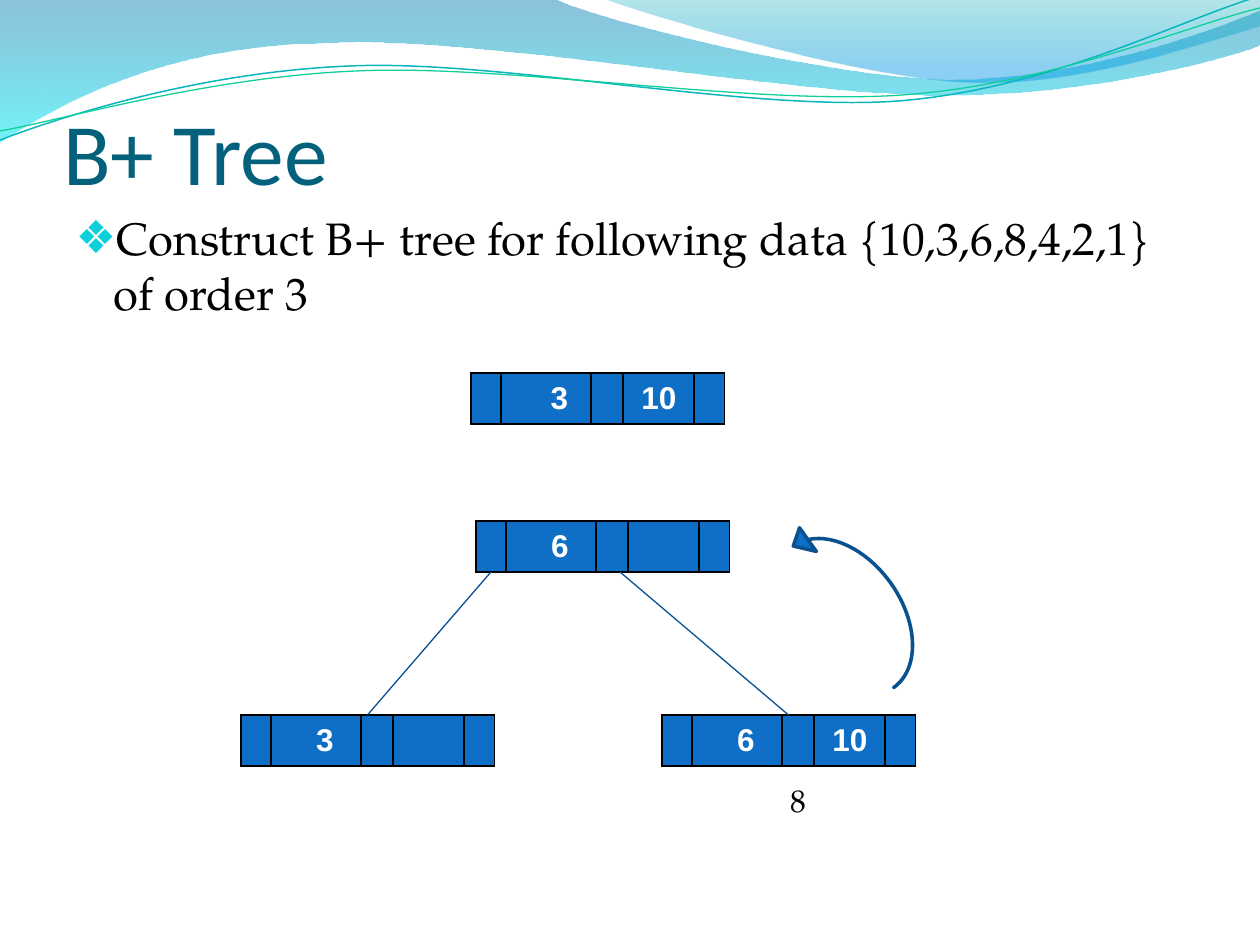
from typing import NamedTuple

from lxml import etree
from pptx import Presentation
from pptx import util as u
from pptx.dml.color import RGBColor
from pptx.enum import shapes, text
from pptx.oxml.ns import qn

PX = u.Inches(1) / 126

BLACK = RGBColor(0x00, 0x00, 0x00)
WHITE = RGBColor(0xFF, 0xFF, 0xFF)
BLUE = RGBColor(0x0F, 0x6F, 0xC6)
EDGE_BLUE = RGBColor(0x07, 0x51, 0x92)
ARROW_BLUE = RGBColor(0x0A, 0x51, 0x90)
TITLE_TEAL = RGBColor(0x04, 0x61, 0x7B)
BULLET_CYAN = RGBColor(0x0B, 0xD0, 0xD9)
WAVE_TEAL = RGBColor(0x09, 0xB6, 0xBE)
WAVE_GREEN = RGBColor(0x10, 0xCF, 0x9B)
DEEP_BLUE = RGBColor(0x00, 0x79, 0xAD)
AQUA = RGBColor(0x00, 0xE9, 0xF7)
SEA_GREEN = RGBColor(0x00, 0xAB, 0xB4)
SKY_BLUE = RGBColor(0x00, 0x99, 0xE4)

SERIF = "TeX Gyre Pagella"
COLUMN_WIDTHS = (30, 90, 32, 71, 30)
ROW_HEIGHT = 51
CELL_INSET = 13


class Stop(NamedTuple):
    position: int
    color: RGBColor
    opacity: int


class Band(NamedTuple):
    """A filled wave; a segment of 2 numbers is a line, one of 6 a Bézier curve."""
    start: tuple
    segments: tuple
    stops: tuple


class Strand(NamedTuple):
    start: tuple
    segments: tuple
    color: RGBColor
    weight: float


class Node(NamedTuple):
    left: int
    top: int
    first_key: str
    second_key: str
    key_shift: int


BANDS = (
    Band((0, 0),
         ((554, -1), (600, 21, 837, 79, 955, 79), (1075, 79, 1207, 33, 1260, 11),
          (1261, 45), (1239, 55, 1096, 96, 940, 95), (783, 95, 481, 35, 324, 43),
          (163, 45, 58, 105, -1, 142)),
         (Stop(0, DEEP_BLUE, 45), Stop(100, AQUA, 55))),
    Band((604, -1),
         ((641, 14, 859, 78, 969, 82), (1079, 87, 1211, 40, 1260, 26), (1260, 0)),
         (Stop(0, SEA_GREEN, 30), Stop(80, SKY_BLUE, 45), Stop(100, SKY_BLUE, 45))),
)
STRANDS = (
    Strand((0, 140),
           ((60, 117, 199, 72, 349, 66), (498, 59, 747, 112, 898, 101),
            (1050, 89, 1182, 19, 1257, -3)), WAVE_TEAL, 0.85),
    Strand((0, 131),
           ((59, 121, 207, 77, 357, 71), (508, 64, 752, 106, 903, 95),
            (1053, 84, 1186, 26, 1260, 8)), WAVE_GREEN, 0.75),
)
FIRST_NODE = Node(471, 373, "3", "10", 26)
ROOT = Node(476, 521, "6", "", 17)
LEFT_LEAF = Node(241, 715, "3", "", 17)
RIGHT_LEAF = Node(662, 715, "6", "10", 17)


def px(length: float) -> u.Emu:
    return u.Emu(round(length * PX))


def place(shape, left: int, top: int, width: int, height: int) -> None:
    shape.left, shape.top = px(left), px(top)
    shape.width, shape.height = px(width), px(height)


def add_run(paragraph, wording: str, size: int, font: str, color: RGBColor,
            bold: bool = False) -> None:
    run = paragraph.add_run()
    run.text = wording
    run.font.size, run.font.name, run.font.bold = u.Pt(size), font, bold
    run.font.color.rgb = color


def add_outline(slide, wave, close: bool):
    """Build straight sides between the nodes, then bend those that are curves."""
    builder = slide.shapes.build_freeform(px(wave.start[0]), px(wave.start[1]))
    ends = [(px(segment[-2]), px(segment[-1])) for segment in wave.segments]
    builder.add_line_segments(ends, close=close)
    shape = builder.convert_to_shape()
    shape.shadow.inherit = False
    sides = list(shape._element.spPr.iter(qn("a:lnTo")))
    for side, segment in zip(sides, wave.segments):
        if len(segment) == 6:
            curve = etree.Element(qn("a:cubicBezTo"))
            for x, y in zip(segment[::2], segment[1::2]):
                etree.SubElement(curve, qn("a:pt"), x=str(px(x) - shape.left),
                                 y=str(px(y) - shape.top))
            side.getparent().replace(side, curve)
    return shape


def add_band(slide, band: Band) -> None:
    shape = add_outline(slide, band, True)
    shape.line.fill.background()
    shape.fill.gradient()
    shape.fill.gradient_angle = 270
    stop_list = shape._element.spPr.find(qn("a:gradFill")).find(qn("a:gsLst"))
    stop_list.clear()
    for stop in band.stops:
        entry = etree.SubElement(stop_list, qn("a:gs"), pos=str(stop.position * 1000))
        color = etree.SubElement(entry, qn("a:srgbClr"), val=str(stop.color))
        etree.SubElement(color, qn("a:alpha"), val=str(stop.opacity * 1000))


def add_strand(slide, strand: Strand) -> None:
    shape = add_outline(slide, strand, False)
    shape.fill.background()
    shape.line.color.rgb = strand.color
    shape.line.width = u.Pt(strand.weight)


def add_borders(cell) -> None:
    properties = cell._tc.get_or_add_tcPr()
    for side in ("lnL", "lnR", "lnT", "lnB"):
        line = etree.SubElement(properties, qn(f"a:{side}"), w=str(u.Pt(1)))
        fill = etree.SubElement(line, qn("a:solidFill"))
        etree.SubElement(fill, qn("a:srgbClr"), val=str(BLACK))


def add_node(slide, node: Node):
    """Draw pointer and key cells in turn; the first key sits right of centre."""
    frame = slide.shapes.add_table(1, len(COLUMN_WIDTHS), px(node.left), px(node.top),
                                   px(sum(COLUMN_WIDTHS)), px(ROW_HEIGHT))
    table = frame.table
    table.first_row = table.horz_banding = False
    keys = ("", node.first_key, "", node.second_key, "")
    for index, (width, key) in enumerate(zip(COLUMN_WIDTHS, keys)):
        table.columns[index].width = px(width)
        cell = table.cell(0, index)
        add_borders(cell)
        cell.fill.solid()
        cell.fill.fore_color.rgb = BLUE
        cell.vertical_anchor = text.MSO_ANCHOR.MIDDLE
        if key:
            cell.margin_left = px(CELL_INSET + (node.key_shift if index == 1 else 0))
            paragraph = cell.text_frame.paragraphs[0]
            paragraph.alignment = text.PP_ALIGN.CENTER
            add_run(paragraph, key, 18, "Arial", WHITE, True)
    return frame


def add_edge(slide, start_x: int, start_y: int, leaf) -> None:
    edge = slide.shapes.add_connector(shapes.MSO_CONNECTOR.STRAIGHT, px(start_x), px(start_y),
                                      leaf.left + leaf.width // 2, leaf.top)
    edge.end_connect(leaf, 0)
    edge.line.color.rgb = EDGE_BLUE
    edge.line.width = u.Pt(0.75)
    etree.SubElement(edge._element.spPr, qn("a:effectLst"))


def fill_title(title) -> None:
    place(title, 63, 45, 1134, 158)
    frame = title.text_frame
    frame.vertical_anchor = text.MSO_ANCHOR.BOTTOM
    frame.auto_size = text.MSO_AUTO_SIZE.NONE
    frame.margin_left = frame.margin_right = frame.margin_bottom = 0
    frame.paragraphs[0].alignment = text.PP_ALIGN.LEFT
    add_run(frame.paragraphs[0], "B+ Tree", 50, "Calibri", TITLE_TEAL)


def fill_body(body) -> None:
    place(body, 63, 204, 1134, 704)
    body.text_frame.auto_size = text.MSO_AUTO_SIZE.NONE
    paragraph = body.text_frame.paragraphs[0]
    paragraph.space_before = u.Pt(5.2)
    properties = paragraph._p.get_or_add_pPr()
    properties.set("marL", str(u.Inches(0.3)))
    properties.set("indent", str(u.Inches(-0.3)))
    color = etree.SubElement(properties, qn("a:buClr"))
    etree.SubElement(color, qn("a:srgbClr"), val=str(BULLET_CYAN))
    etree.SubElement(properties, qn("a:buChar"), char="❖")
    add_run(paragraph, "Construct B+ tree for following data {10,3,6,8,4,2,1} of order 3",
            26, SERIF, BLACK)


def add_pending_key(slide) -> None:
    box = slide.shapes.add_textbox(px(778), px(775), px(79), px(50))
    box.text_frame.word_wrap = True
    box.text_frame.auto_size = text.MSO_AUTO_SIZE.SHAPE_TO_FIT_TEXT
    add_run(box.text_frame.paragraphs[0], "8", 18, SERIF, BLACK)


def add_promotion_arrow(slide) -> None:
    arrow = slide.shapes.add_shape(shapes.MSO_SHAPE.CURVED_LEFT_ARROW,
                                   px(834), px(500), px(58), px(188))
    for index, value in enumerate((0, 0.5, 0.27)):
        arrow.adjustments[index] = value
    arrow.rotation = 144.6
    arrow._element.spPr.find(qn("a:xfrm")).set("flipH", "1")
    arrow.shadow.inherit = False
    arrow.fill.solid()
    arrow.fill.fore_color.rgb = BLUE
    arrow.line.color.rgb = ARROW_BLUE
    arrow.line.width = u.Pt(2)


def main() -> None:
    presentation = Presentation()
    presentation.slide_width, presentation.slide_height = u.Inches(10), u.Inches(7.5)
    slide = presentation.slides.add_slide(presentation.slide_layouts[1])
    title, body = slide.placeholders
    for band in BANDS:
        add_band(slide, band)
    for strand in STRANDS:
        add_strand(slide, strand)
    for placeholder in (title, body):
        slide.shapes._spTree.append(placeholder._element)
    fill_title(title)
    fill_body(body)
    _, _, left_leaf, right_leaf = [
        add_node(slide, node) for node in (FIRST_NODE, ROOT, LEFT_LEAF, RIGHT_LEAF)]
    add_edge(slide, 491, ROOT.top + ROW_HEIGHT, left_leaf)
    add_edge(slide, 620, ROOT.top + ROW_HEIGHT, right_leaf)
    add_pending_key(slide)
    add_promotion_arrow(slide)
    presentation.save("out.pptx")


if __name__ == "__main__":
    main()
